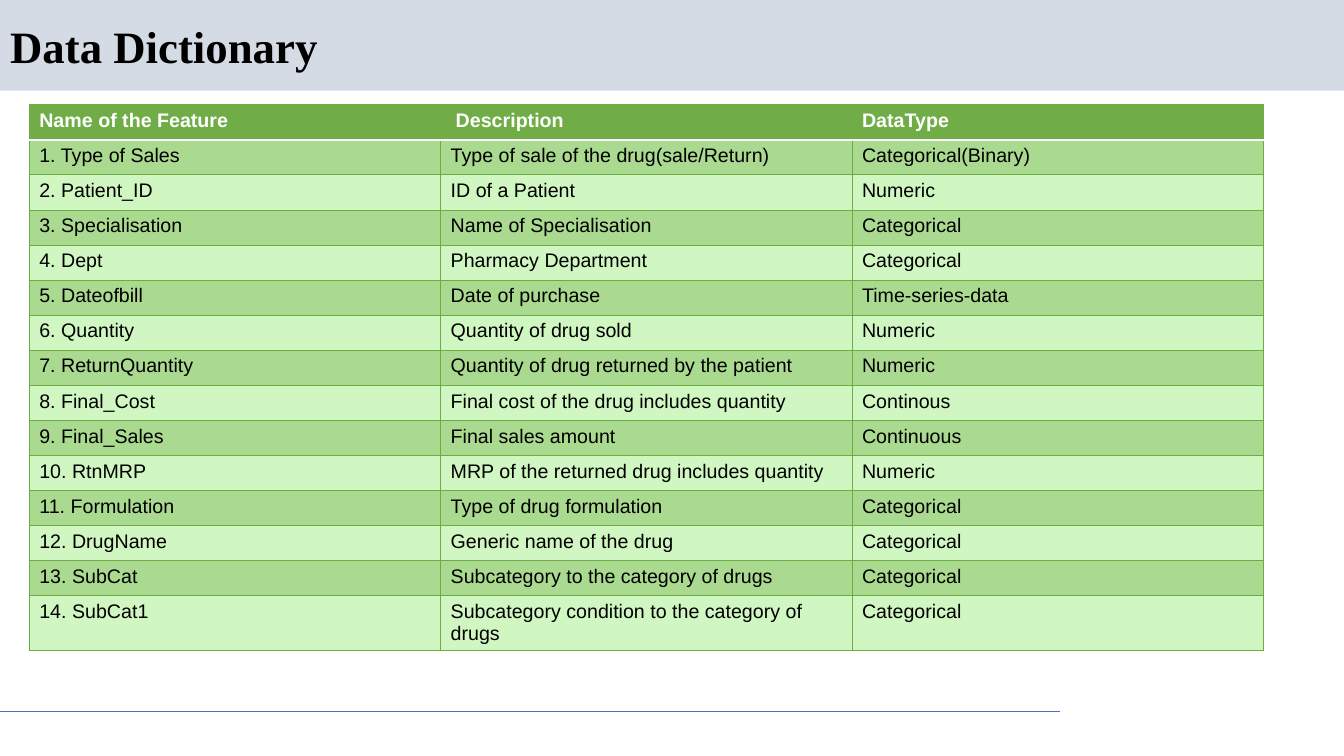
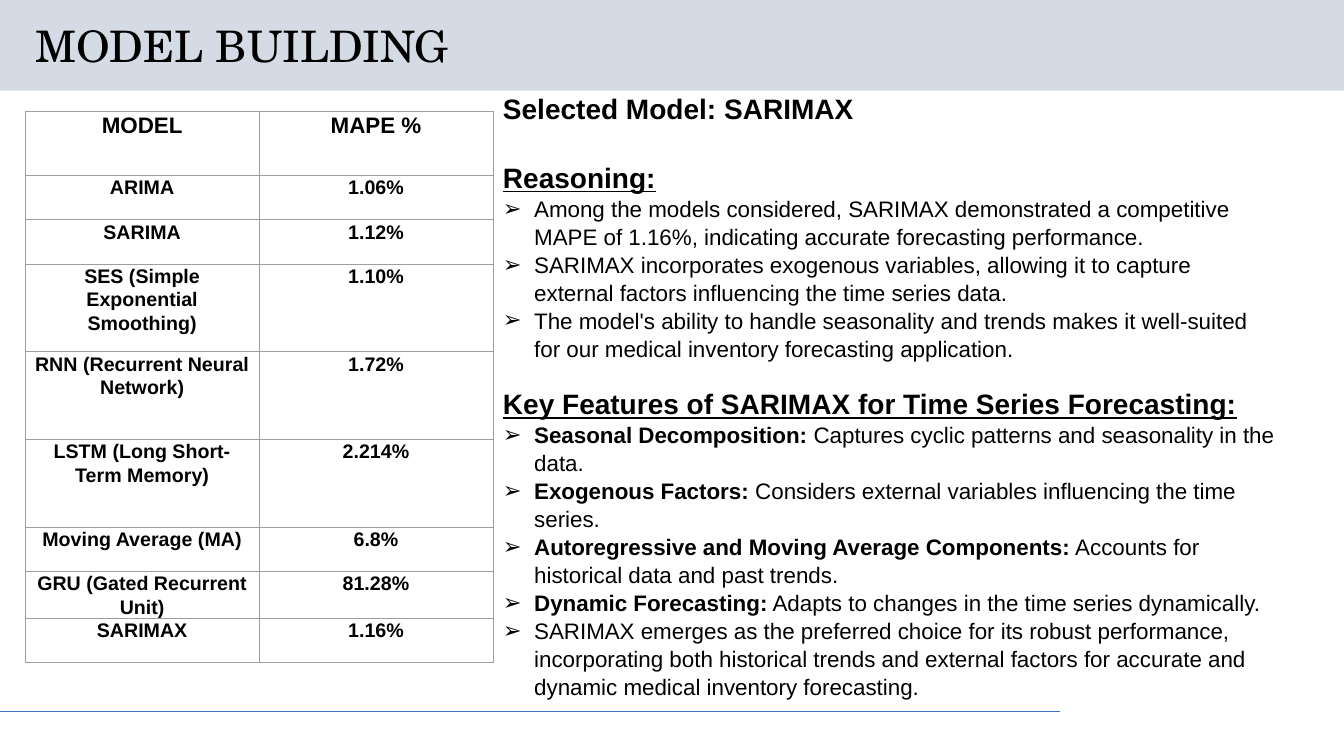
"""Build the data dictionary and model building slides."""
import dataclasses

import lxml.etree
import pptx
import pptx.dml.color
import pptx.enum.shapes
import pptx.enum.text
import pptx.oxml.ns
import pptx.util

Inches = pptx.util.Inches
Pt = pptx.util.Pt
ALIGN = pptx.enum.text.PP_ALIGN
ANCHOR = pptx.enum.text.MSO_ANCHOR
AUTO_SIZE = pptx.enum.text.MSO_AUTO_SIZE


@dataclasses.dataclass(frozen=True)
class Theme:
    """Colours, fonts and type sizes shared by the slides."""

    band: str = "D5DBE5"
    footer: str = "4472C4"
    ink: str = "000000"
    white: str = "FFFFFF"
    green: str = "70AD47"
    green_edge: str = "6DAC43"
    row_fills: tuple = ("AAD990", "D0F6C1")
    grey_edge: str = "9E9E9E"
    font: str = "Arial"
    heading: int = 20
    body: int = 16
    cell: int = 14
    edge: float = 0.75
    header_edge: float = 2
    body_spacing: float = 1.04


THEME = Theme()

FEATURES = [
    ("Name of the Feature", "Description", "DataType"),
    ("Type of Sales", "Type of sale of the drug(sale/Return)", "Categorical(Binary)"),
    ("Patient_ID", "ID of a Patient", "Numeric"),
    ("Specialisation", "Name of Specialisation", "Categorical"),
    ("Dept", "Pharmacy Department", "Categorical"),
    ("Dateofbill", "Date of purchase", "Time-series-data"),
    ("Quantity", "Quantity of drug sold", "Numeric"),
    ("ReturnQuantity", "Quantity of drug returned by the patient", "Numeric"),
    ("Final_Cost", "Final cost of the drug includes quantity", "Continous"),
    ("Final_Sales", "Final sales amount", "Continuous"),
    ("RtnMRP", "MRP of the returned drug includes quantity", "Numeric"),
    ("Formulation", "Type of drug formulation", "Categorical"),
    ("DrugName", "Generic name of the drug", "Categorical"),
    ("SubCat", "Subcategory to the category of drugs", "Categorical"),
    ("SubCat1", "Subcategory condition to the category of drugs", "Categorical"),
]

MODELS = [
    ("MODEL", "MAPE %", 0.63),
    ("ARIMA", "1.06%", 0.44),
    ("SARIMA", "1.12%", 0.44),
    ("SES (Simple Exponential Smoothing)", "1.10%", 0.87),
    ("RNN (Recurrent Neural Network)", "1.72%", 0.87),
    ("LSTM (Long Short-Term Memory)", "2.214%", 0.87),
    ("Moving Average (MA)", "6.8%", 0.44),
    ("GRU (Gated Recurrent Unit)", "81.28%", 0.44),
    ("SARIMAX", "1.16%", 0.44),
]

REASONS = [
    ("", "Among the models considered, SARIMAX demonstrated a competitive MAPE of 1.16%, "
         "indicating accurate forecasting performance."),
    ("", "SARIMAX incorporates exogenous variables, allowing it to capture external factors "
         "influencing the time series data."),
    ("", "The model's ability to handle seasonality and trends makes it well-suited for our "
         "medical inventory forecasting application."),
]

KEY_FEATURES = [
    ("Seasonal Decomposition:", " Captures cyclic patterns and seasonality in the data."),
    ("Exogenous Factors:", " Considers external variables influencing the time series."),
    ("Autoregressive and Moving Average Components:",
     " Accounts for historical data and past trends."),
    ("Dynamic Forecasting:", " Adapts to changes in the time series dynamically."),
    ("", "SARIMAX emerges as the preferred choice for its robust performance, incorporating "
         "both historical trends and external factors for accurate and dynamic medical "
         "inventory forecasting."),
]

SECTIONS = [
    ("Selected Model: SARIMAX", False, 0, []),
    ("Reasoning:", True, 24, REASONS),
    ("Key Features of SARIMAX for Time Series Forecasting:", True, 17, KEY_FEATURES),
]


def rgb(code):
    """Return the colour for a hexadecimal code."""
    return pptx.dml.color.RGBColor.from_string(code)


def apply_format(target, values):
    """Set each attribute of the target from a dict."""
    for name, value in values.items():
        setattr(target, name, value)


def add_node(parent, tag, **attributes):
    """Append a drawing element to the parent."""
    node = lxml.etree.SubElement(parent, pptx.oxml.ns.qn(tag))
    for name, value in attributes.items():
        node.set(name, str(value))
    return node


def add_span(para, text, size, color=THEME.ink, font=THEME.font, **values):
    """Add a formatted run to a paragraph."""
    span = para.add_run()
    span.text = text
    apply_format(span.font, {"size": Pt(size), "name": font, **values})
    span.font.color.rgb = rgb(color)


def set_border(cell, side, color, width):
    """Draw one border of a table cell."""
    line = add_node(cell._tc.get_or_add_tcPr(), f"a:ln{side}", w=int(Pt(width)))
    add_node(add_node(line, "a:solidFill"), "a:srgbClr", val=color)


def add_grid(page, box, widths, heights):
    """Add an unstyled table and return it."""
    frame = page.shapes.add_table(len(heights), len(widths), *map(Inches, box))
    grid = frame.table
    apply_format(grid, {"first_row": False, "horz_banding": False})
    for column, width in zip(grid.columns, widths):
        column.width = Inches(width)
    for row, height in zip(grid.rows, heights):
        row.height = Inches(height)
    return grid


def fill_cell(cell, text, edges, fill=None, para_format=None, margins=None, **span_format):
    """Write, outline and fill one table cell."""
    apply_format(cell, margins or {})
    para = cell.text_frame.paragraphs[0]
    apply_format(para, para_format or {})
    add_span(para, text, **span_format)
    for side, (color, width) in edges.items():
        set_border(cell, side, color, width)
    if fill:
        cell.fill.solid()
        cell.fill.fore_color.rgb = rgb(fill)
    else:
        cell.fill.background()


def add_feature_table(page, box):
    """Place the green table of features in the box."""
    left, top, width, height = box
    last_height = 0.55
    row_height = (height - last_height) / (len(FEATURES) - 1)
    heights = [row_height] * (len(FEATURES) - 1) + [last_height]
    grid = add_grid(page, box, [width / 3] * 3, heights)
    edge = (THEME.green_edge, THEME.edge)
    white_edge = (THEME.white, THEME.header_edge)
    for index, record in enumerate(FEATURES):
        header = index == 0
        for column, text in enumerate(record):
            edges = dict.fromkeys("LRTB", edge)
            if header:
                edges["B"] = white_edge
            elif index == 1:
                edges["T"] = white_edge
            if column == 0 and not header:
                text = f"{index}. {text}"
            indent = 0.15 if header and column == 1 else 0.1
            fill_cell(
                grid.cell(index, column), text, edges,
                fill=THEME.green if header else THEME.row_fills[(index - 1) % 2],
                margins={"margin_left": Inches(indent)},
                size=THEME.cell, bold=header,
                color=THEME.white if header else THEME.ink,
            )


def add_model_table(page, box):
    """Place the table of model errors in the box."""
    width = box[2]
    grid = add_grid(page, box, [width / 2] * 2, [record[-1] for record in MODELS])
    side = Inches(0.07)
    margins = {"margin_left": side, "margin_right": side, "margin_top": 0, "margin_bottom": 0}
    for index, record in enumerate(MODELS):
        for column, text in enumerate(record[:2]):
            fill_cell(
                grid.cell(index, column), text,
                dict.fromkeys("LRTB", (THEME.grey_edge, THEME.edge)),
                para_format={"alignment": ALIGN.CENTER, "line_spacing": 1.07},
                margins=margins, size=THEME.cell if index else THEME.body, bold=True,
            )


def add_bullet(para):
    """Give a paragraph an arrow bullet with a hanging indent."""
    settings = para._p.get_or_add_pPr()
    indent = int(Inches(0.31))
    settings.set("marL", str(indent))
    settings.set("indent", str(-indent))
    add_node(add_node(settings, "a:buClr"), "a:srgbClr", val=THEME.ink)
    add_node(settings, "a:buFont", typeface=THEME.font)
    add_node(settings, "a:buChar", char="➢")


def add_reasoning(page, box):
    """Place the headings and bullets in the box."""
    frame = page.shapes.add_textbox(*map(Inches, box)).text_frame
    apply_format(frame, {"word_wrap": True, "auto_size": AUTO_SIZE.SHAPE_TO_FIT_TEXT})
    para = frame.paragraphs[0]
    for heading, underline, gap, bullets in SECTIONS:
        if gap:
            para = frame.add_paragraph()
            para.space_before = Pt(gap)
        para.line_spacing = THEME.body_spacing
        add_span(para, heading, THEME.heading, bold=True, underline=underline)
        for label, text in bullets:
            para = frame.add_paragraph()
            add_bullet(para)
            para.line_spacing = THEME.body_spacing
            if label:
                add_span(para, label, THEME.body, bold=True)
            add_span(para, text, THEME.body, bold=False)


def add_frame(deck, layout, page):
    """Move a title band and a footer line into the layout."""
    band = page.shapes.add_shape(
        pptx.enum.shapes.MSO_SHAPE.RECTANGLE, 0, 0, deck.slide_width, Inches(0.9))
    band.shadow.inherit = False
    band.fill.solid()
    band.fill.fore_color.rgb = rgb(THEME.band)
    band.line.fill.background()
    rule = page.shapes.add_connector(
        pptx.enum.shapes.MSO_CONNECTOR.STRAIGHT, 0, Inches(7.06), Inches(10.51), Inches(7.06))
    rule.line.color.rgb = rgb(THEME.footer)
    rule.line.width = Pt(THEME.edge)
    add_node(rule._element.spPr, "a:effectLst")
    for offset, shape in enumerate((band, rule)):
        shape._element.xpath(".//p:cNvPr")[0].set("id", str(100 + offset))
        layout.shapes.element.insert(2 + offset, shape._element)


def add_title(page, text, box, **span_format):
    """Place and format the title placeholder."""
    title = page.shapes.title
    apply_format(title, dict(zip(("left", "top", "width", "height"), map(Inches, box))))
    frame = title.text_frame
    apply_format(frame, {
        "vertical_anchor": ANCHOR.MIDDLE, "word_wrap": True, "auto_size": AUTO_SIZE.NONE})
    para = frame.paragraphs[0]
    apply_format(para, {"alignment": ALIGN.LEFT, "line_spacing": 0.9})
    add_span(para, text, **span_format)


def build_dictionary(page):
    """Fill the data dictionary slide."""
    add_title(page, "Data Dictionary", (0, 0.19, 11.5, 0.59),
              size=32, font="Times New Roman", bold=True)
    add_feature_table(page, (0.29, 1.04, 12.24, 5.42))


def build_models(page):
    """Fill the model building slide."""
    add_title(page, "MODEL BUILDING", (0.25, 0.2, 11.5, 0.57),
              size=31, font="TeX Gyre Schola", bold=False)
    add_model_table(page, (0.25, 1.11, 4.64, 5.48))
    add_reasoning(page, (4.89, 0.85, 7.86, 5.99))


def main():
    """Build and save the deck."""
    deck = pptx.Presentation()
    apply_format(deck, {"slide_width": Inches(13.33), "slide_height": Inches(7.5)})
    layout = deck.slide_layouts[5]
    pages = [deck.slides.add_slide(layout) for _ in range(2)]
    add_frame(deck, layout, pages[0])
    for page, build in zip(pages, (build_dictionary, build_models)):
        build(page)
    deck.save("out.pptx")


if __name__ == "__main__":
    main()
